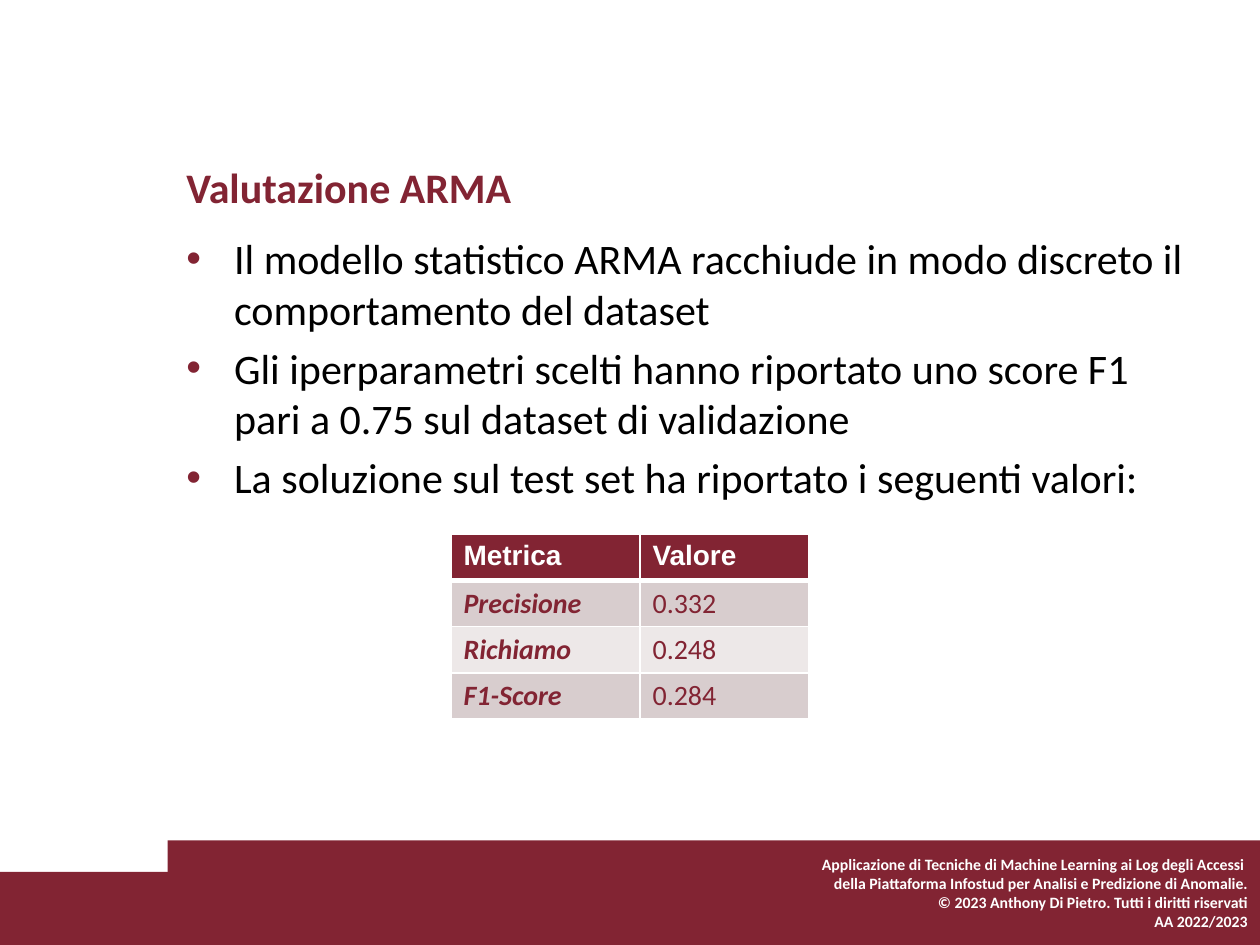
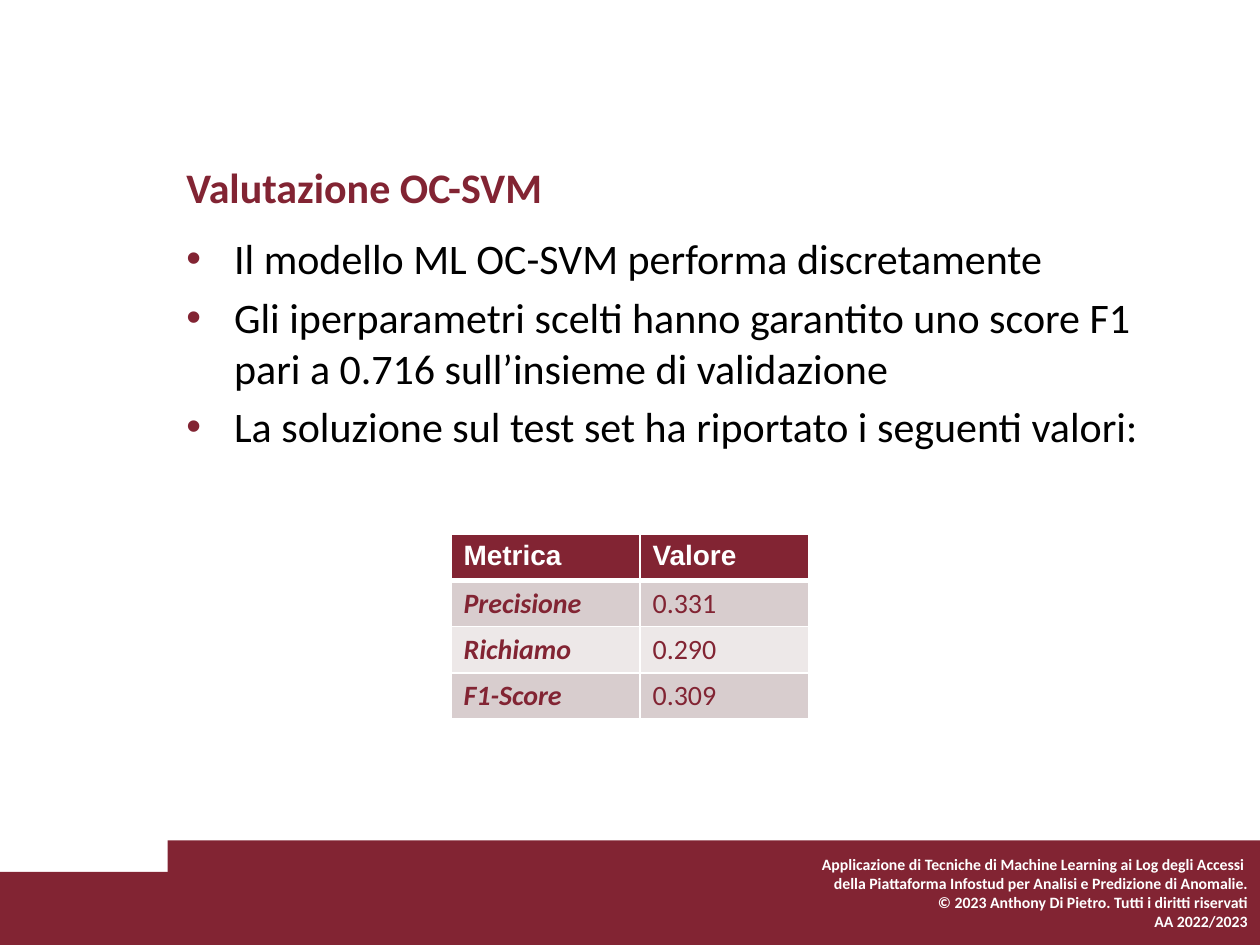
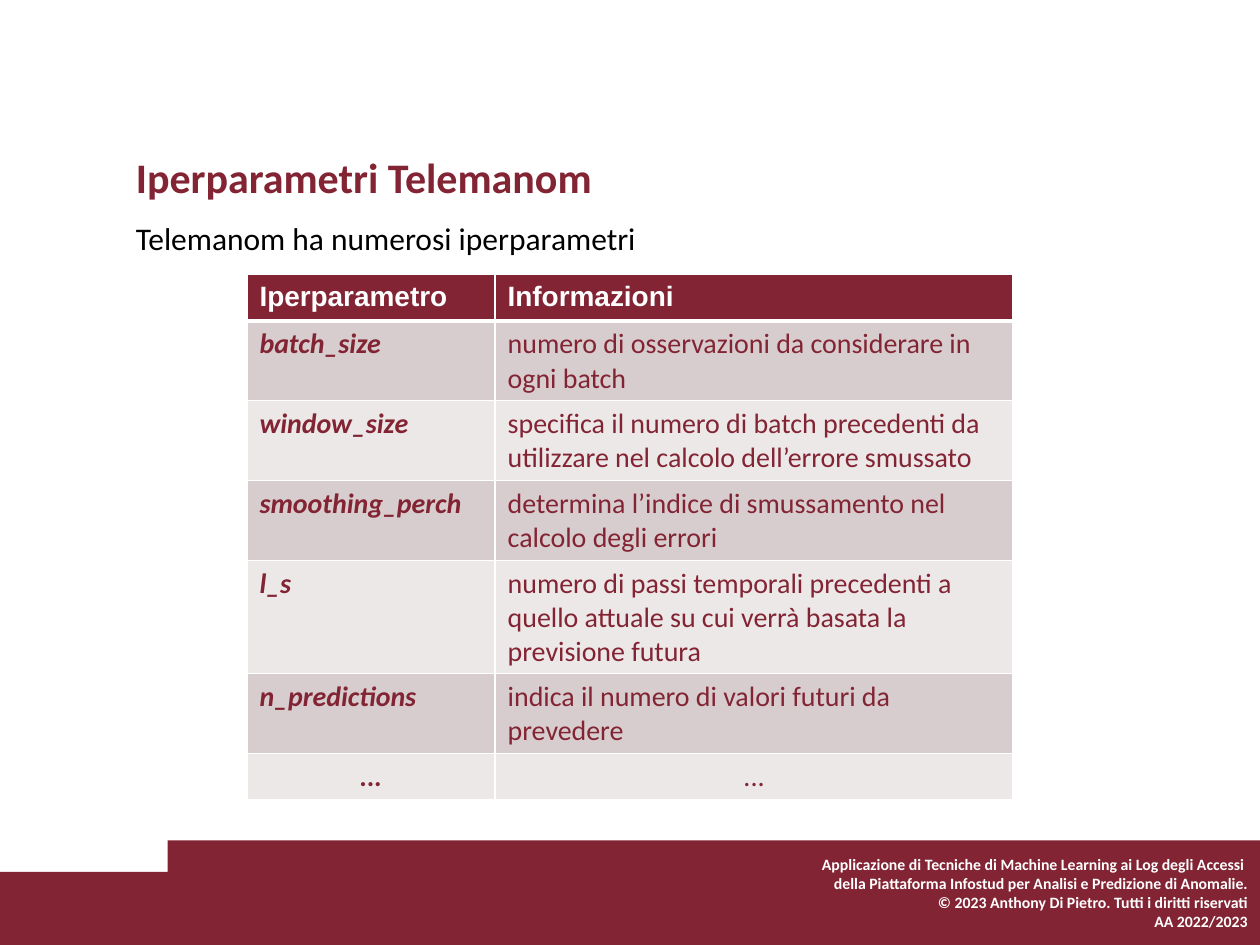
from dataclasses import dataclass

from lxml.etree import SubElement
from pptx import Presentation
from pptx.dml.color import RGBColor
from pptx.enum.shapes import MSO_SHAPE as Shape
from pptx.enum.text import MSO_ANCHOR as Anchor, PP_ALIGN as Align
from pptx.oxml.ns import qn
from pptx.util import Inches, Pt


@dataclass(frozen=True)
class Theme:
    burgundy: str = "822433"
    white: str = "FFFFFF"
    black: str = "000000"
    bands: tuple = ("D8CDCE", "EDE8E8")
    font: str = "Calibri"
    header_font: str = "Arial"
    heading_size: float = 24
    text_size: float = 18
    table_size: float = 16
    footer_size: float = 9
    bullet_indent: float = 0.38
    row_height: float = 0.28


THEME = Theme()

FOOTER_LINES = [
    "Applicazione di Tecniche di Machine Learning ai Log degli Accessi ",
    "della Piattaforma Infostud per Analisi e Predizione di Anomalie.",
    "© 2023 Anthony Di Pietro. Tutti i diritti riservati",
    "AA 2022/2023",
]
METRICS = ["Precisione", "Richiamo", "F1-Score"]
RESULTS_INTRO = "La soluzione sul test set ha riportato i seguenti valori:"
EVALUATIONS = [
    (
        "Valutazione ARMA",
        [
            "Il modello statistico ARMA racchiude in modo discreto il comportamento del dataset",
            "Gli iperparametri scelti hanno riportato uno score F1 pari a 0.75 sul dataset di validazione",
            RESULTS_INTRO,
        ],
        ["0.332", "0.248", "0.284"],
    ),
    (
        "Valutazione OC-SVM",
        [
            "Il modello ML OC-SVM performa discretamente",
            "Gli iperparametri scelti hanno garantito uno score F1 pari a 0.716 sull’insieme di validazione",
            RESULTS_INTRO,
        ],
        ["0.331", "0.290", "0.309"],
    ),
]
HYPERPARAMETERS = [
    ("Iperparametro", "Informazioni"),
    ("batch_size", "numero di osservazioni da considerare in ogni batch"),
    ("window_size", "specifica il numero di batch precedenti da utilizzare nel calcolo dell’errore smussato"),
    ("smoothing_perch", "determina l’indice di smussamento nel calcolo degli errori"),
    ("l_s", "numero di passi temporali precedenti a quello attuale su cui verrà basata la previsione futura"),
    ("n_predictions", "indica il numero di valori futuri da prevedere"),
    ("...", "..."),
]


def rgb(color):
    return RGBColor.from_string(color)


def add_bullet(paragraph):
    properties = paragraph._p.get_or_add_pPr()
    indent = Inches(THEME.bullet_indent)
    properties.set("marL", str(indent))
    properties.set("indent", str(-indent))
    bullet_color = SubElement(properties, qn("a:buClr"))
    SubElement(bullet_color, qn("a:srgbClr"), val=THEME.burgundy)
    SubElement(properties, qn("a:buFont"), typeface="Arial")
    SubElement(properties, qn("a:buChar"), char="•")


def write_text(frame, lines, *, size, color=THEME.black, font=THEME.font, bold=False,
               italic=False, align=Align.LEFT, bulleted=False, space_before=0):
    """Fill a text frame with one paragraph per line."""
    for index, line in enumerate(lines):
        paragraph = frame.add_paragraph() if index else frame.paragraphs[0]
        paragraph.alignment = align
        if index and space_before:
            paragraph.space_before = Pt(space_before)
        if bulleted:
            add_bullet(paragraph)
        run = paragraph.add_run()
        run.text = line
        run.font.name = font
        run.font.size = Pt(size)
        run.font.bold = bold
        run.font.italic = italic
        run.font.color.rgb = rgb(color)


def add_text_box(slide, left, top, width, height, lines, **text_format):
    box = slide.shapes.add_textbox(Inches(left), Inches(top), Inches(width), Inches(height))
    box.text_frame.word_wrap = True
    write_text(box.text_frame, lines, **text_format)


def add_title(slide, left, top, title):
    add_text_box(slide, left, top, 8.11, 0.55, [title], size=THEME.heading_size,
                 color=THEME.burgundy, bold=True)


def add_band(slide, left, top, width, height):
    band = slide.shapes.add_shape(Shape.RECTANGLE, Inches(left), Inches(top),
                                  Inches(width), Inches(height))
    band.shadow.inherit = False
    band.fill.solid()
    band.fill.fore_color.rgb = rgb(THEME.burgundy)
    band.line.fill.background()
    return band


def add_footer(slide):
    add_band(slide, 0, 6.92, 10, 0.58)
    frame = add_band(slide, 1.33, 6.67, 8.67, 0.83).text_frame
    frame.word_wrap = False
    frame.vertical_anchor = Anchor.MIDDLE
    write_text(frame, FOOTER_LINES, size=THEME.footer_size, color=THEME.white,
               bold=True, align=Align.RIGHT)


def set_borders(cell, **widths):
    """Draw white borders; widths in points, keyed by side: L, R, T, B."""
    properties = cell._tc.get_or_add_tcPr()
    for side, width in widths.items():
        line = SubElement(properties, qn(f"a:ln{side}"), w=str(Pt(width)))
        fill = SubElement(line, qn("a:solidFill"))
        SubElement(fill, qn("a:srgbClr"), val=THEME.white)


def format_cell(cell, text, row, column):
    is_header = row == 0
    set_borders(cell, L=1, R=1, T=3 if row == 1 else 1, B=3 if is_header else 1)
    cell.fill.solid()
    cell.fill.fore_color.rgb = rgb(THEME.burgundy if is_header else THEME.bands[(row - 1) % 2])
    write_text(
        cell.text_frame, [text], size=THEME.table_size,
        color=THEME.white if is_header else THEME.burgundy,
        font=THEME.header_font if is_header else THEME.font,
        bold=is_header or column == 0,
        italic=not is_header and column == 0,
        align=Align.CENTER if text == "..." else Align.LEFT,
    )


def add_data_table(slide, left, top, column_widths, rows):
    table = slide.shapes.add_table(
        len(rows), len(column_widths), Inches(left), Inches(top),
        Inches(sum(column_widths)), Inches(THEME.row_height * len(rows)),
    ).table
    table.horz_banding = False
    for column, width in zip(table.columns, column_widths):
        column.width = Inches(width)
    for row_index, values in enumerate(rows):
        table.rows[row_index].height = Inches(THEME.row_height)
        for column_index, text in enumerate(values):
            format_cell(table.cell(row_index, column_index), text, row_index, column_index)


def add_base_slide(presentation):
    slide = presentation.slides.add_slide(presentation.slide_layouts[6])
    add_footer(slide)
    return slide


def add_evaluation_slide(presentation, title, points, scores):
    slide = add_base_slide(presentation)
    add_title(slide, 1.38, 1.23, title)
    add_text_box(slide, 1.38, 1.8, 8.11, 4.5, points, size=THEME.heading_size,
                 bulleted=True, space_before=4.8)
    add_data_table(slide, 3.58, 4.24, [1.5, 1.34],
                   [("Metrica", "Valore"), *zip(METRICS, scores)])


def add_hyperparameter_slide(presentation):
    slide = add_base_slide(presentation)
    add_text_box(slide, 0.98, 1.69, 8.11, 4.5, ["Telemanom ha numerosi iperparametri"],
                 size=THEME.text_size)
    add_title(slide, 0.98, 1.15, "Iperparametri Telemanom")
    add_data_table(slide, 1.96, 2.18, [1.97, 4.11], HYPERPARAMETERS)


def main():
    presentation = Presentation()
    presentation.slide_width = Inches(10)
    presentation.slide_height = Inches(7.5)
    for title, points, scores in EVALUATIONS:
        add_evaluation_slide(presentation, title, points, scores)
    add_hyperparameter_slide(presentation)
    presentation.save("out.pptx")


if __name__ == "__main__":
    main()
